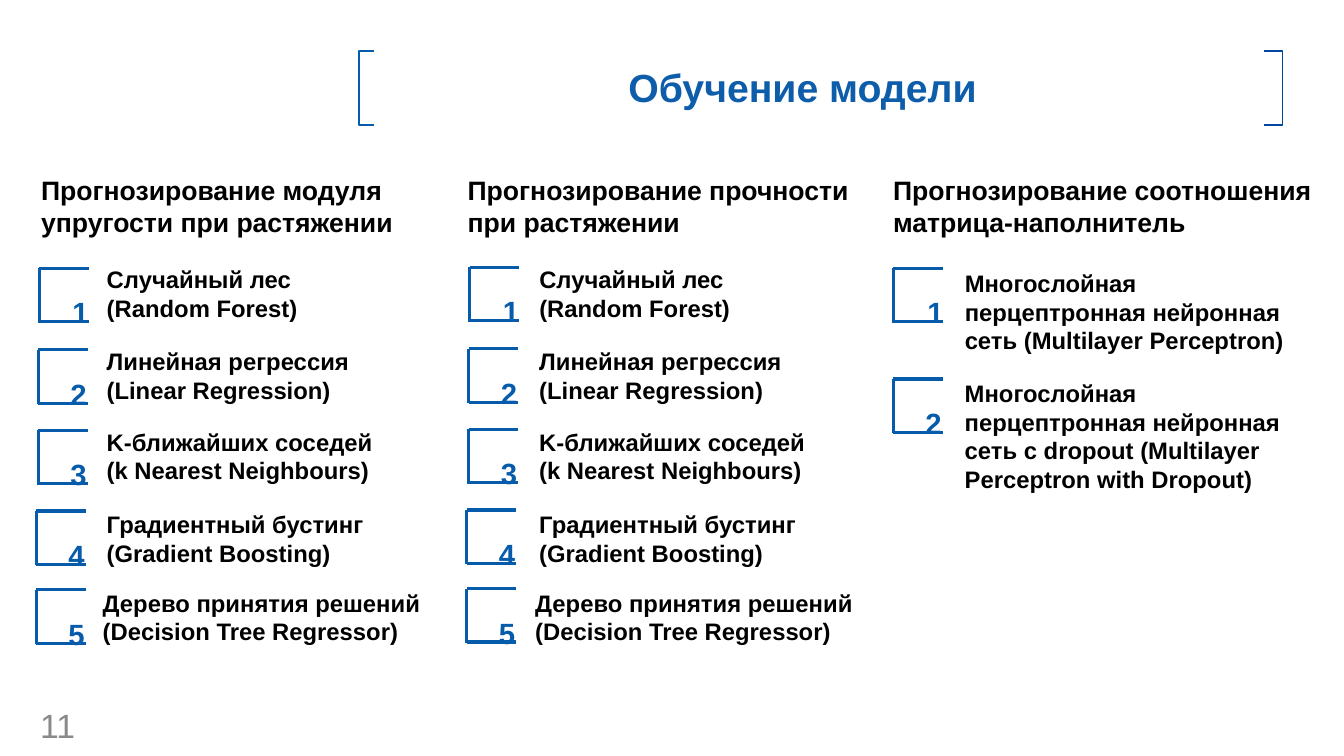
from dataclasses import dataclass
from lxml import etree
from pptx import Presentation
from pptx.dml.color import RGBColor as RGB
from pptx.enum.shapes import MSO_CONNECTOR as CONN, MSO_SHAPE as SHAPE
from pptx.enum.text import MSO_ANCHOR as ANCHOR, MSO_AUTO_SIZE as FIT, PP_ALIGN as ALIGN
from pptx.oxml.ns import qn
from pptx.util import Inches, Pt


@dataclass(frozen=True)
class Theme:
    font: str = "Arial"
    white: str = "FFFFFF"
    ink: str = "000000"
    title: str = "0E5DAB"
    accent: str = "065CAB"
    bracket: str = "0046A2"
    muted: str = "898989"
    title_size: float = 28
    heading_size: float = 19
    label_size: float = 17
    number_size: float = 36
    page_size: float = 24


class SlideBuilder:
    def __init__(self, slide, theme):
        self.s, self.theme = slide, theme

    def add_runs(self, tf, lines, size, color, bold=True, align=None, raised=False):
        for i, line in enumerate(lines):
            p = tf.paragraphs[0] if i == 0 else tf.add_paragraph()
            p.alignment = align
            r = p.add_run()
            r.text = line
            r.font.name = self.theme.font
            r.font.size = Pt(size)
            r.font.bold = bold
            r.font.color.rgb = RGB.from_string(color)
            if raised:
                r._r.get_or_add_rPr().set("baseline", "30000")

    def text(self, x, y, w, h, lines, size, color, anchor=ANCHOR.TOP, fit=FIT.SHAPE_TO_FIT_TEXT, **style):
        sp = self.s.shapes.add_textbox(Inches(x), Inches(y), Inches(w), Inches(h))
        tf = sp.text_frame
        tf.word_wrap = True
        tf.auto_size = fit
        tf.vertical_anchor = anchor
        self.add_runs(tf, lines, size, color, **style)

    def bracket(self, group, points, color):
        (x, y), *rest = [(Inches(px), Inches(py)) for px, py in points]
        outline = group.shapes.build_freeform(x, y)
        outline.add_line_segments(rest, close=False)
        sp = outline.convert_to_shape()
        sp.shadow.inherit = False
        sp.fill.background()
        sp.line.color.rgb = RGB.from_string(color)
        sp.line.width = Pt(1.3)

    def title(self, text):
        t = self.theme
        group = self.s.shapes.add_group_shape()
        sp = group.shapes.add_shape(SHAPE.RECTANGLE, Inches(3.38), Inches(0.5), Inches(9.16), Inches(0.73))
        sp.shadow.inherit = False
        sp.fill.solid()
        sp.fill.fore_color.rgb = RGB.from_string(t.white)
        sp.line.color.rgb = RGB.from_string(t.white)
        sp.line.width = Pt(2)
        tf = sp.text_frame
        tf.word_wrap = True
        tf.vertical_anchor = ANCHOR.MIDDLE
        self.add_runs(tf, [text], t.title_size, t.title, align=ALIGN.CENTER)
        for inner, outer, color in [(3.71, 3.56, t.accent), (12.54, 12.72, t.bracket)]:
            self.bracket(group, [(inner, 0.51), (outer, 0.51), (outer, 1.24), (inner, 1.24)], color)

    def frame(self, x, y, w=0.49, h=0.54):
        group = self.s.shapes.add_group_shape()
        for dx1, dy1, dx2, dy2 in [(0, 0, 0, h), (0, 0, w, 0), (0, h - 0.01, w, h - 0.01)]:
            line = group.shapes.add_connector(
                CONN.STRAIGHT, Inches(x + dx1), Inches(y + dy1), Inches(x + dx2), Inches(y + dy2))
            line.line.color.rgb = RGB.from_string(self.theme.accent)
            line.line.width = Pt(2.25)
            etree.SubElement(line._element.spPr, qn("a:effectLst"))

    def heading(self, x, w, text):
        self.text(x, 1.68, w, 0.74, [text], self.theme.heading_size, self.theme.ink)

    def number(self, x, y, n):
        self.text(x, y, 1.18, 0.5, [str(n)], self.theme.number_size, self.theme.accent, raised=True)

    def label(self, x, y, w, rows, lines):
        self.text(x, y, w, 0.1 + 0.285 * rows, lines, self.theme.label_size, self.theme.ink)

    def item(self, n, frame, number_x, label, frame_shift=(0, 0), label_shift=0):
        x, y = frame[0] + frame_shift[0], frame[1] + frame_shift[1]
        self.frame(x, y)
        self.number(number_x + frame_shift[0], y + 0.15, n)
        label_x, label_y, w, rows, lines = label
        self.label(label_x + label_shift, label_y, w, rows, lines)


# Heading: left, width, text
HEADINGS = [
    (0.31, 3.95, "Прогнозирование модуля упругости при растяжении"),
    (4.54, 4.05, "Прогнозирование прочности при растяжении"),
    (8.76, 4.55, "Прогнозирование соотношения матрица-наполнитель"),
]
# Item: frame corner, number left, label (left, top, width, rows, paragraphs)
REGRESSORS = [
    ((0.39, 2.66), 0.62, (0.96, 2.58, 3.29, 2, ["Случайный лес", "(Random Forest)"])),
    ((0.38, 3.47), 0.6, (0.96, 3.39, 3.4, 2, ["Линейная регрессия (Linear Regression)"])),
    ((0.38, 4.27), 0.6, (0.96, 4.19, 3.4, 2, ["K-ближайших соседей", "(k Nearest Neighbours)"])),
    ((0.36, 5.07), 0.58, (0.96, 5.01, 3.4, 2, ["Градиентный бустинг (Gradient Boosting)"])),
    ((0.36, 5.85), 0.58, (0.92, 5.79, 3.91, 2, ["Дерево принятия решений (Decision Tree Regressor)"])),
]
NETWORKS = [
    ((8.86, 2.66), 9.1, (9.47, 2.62, 3.39, 3, [
        "Многослойная перцептронная нейронная сеть (Multilayer Perceptron)"])),
    ((8.86, 3.76), 9.08, (9.47, 3.71, 3.4, 4, [
        "Многослойная перцептронная нейронная сеть с dropout (Multilayer Perceptron with Dropout)"])),
]
# Column: items, shift of frames and numbers, shift of labels
COLUMNS = [(REGRESSORS, (0, 0), 0), (REGRESSORS, (4.27, -0.01), 4.29), (NETWORKS, (0, 0), 0)]


def main():
    prs = Presentation()
    prs.slide_width, prs.slide_height = Inches(13.33), Inches(7.5)
    theme = Theme()
    page = SlideBuilder(prs.slides.add_slide(prs.slide_layouts[6]), theme)

    # Title and page number
    page.title("Обучение модели")
    page.text(0.3, 7.04, 0.62, 0.3, ["11"], theme.page_size, theme.muted,
              anchor=ANCHOR.MIDDLE, fit=FIT.NONE, bold=False)

    # Column headings
    for x, w, text in HEADINGS:
        page.heading(x, w, text)

    # Numbered models
    for items, frame_shift, label_shift in COLUMNS:
        for n, (frame, number_x, label) in enumerate(items, 1):
            page.item(n, frame, number_x, label, frame_shift, label_shift)

    prs.save("out.pptx")


if __name__ == "__main__":
    main()
